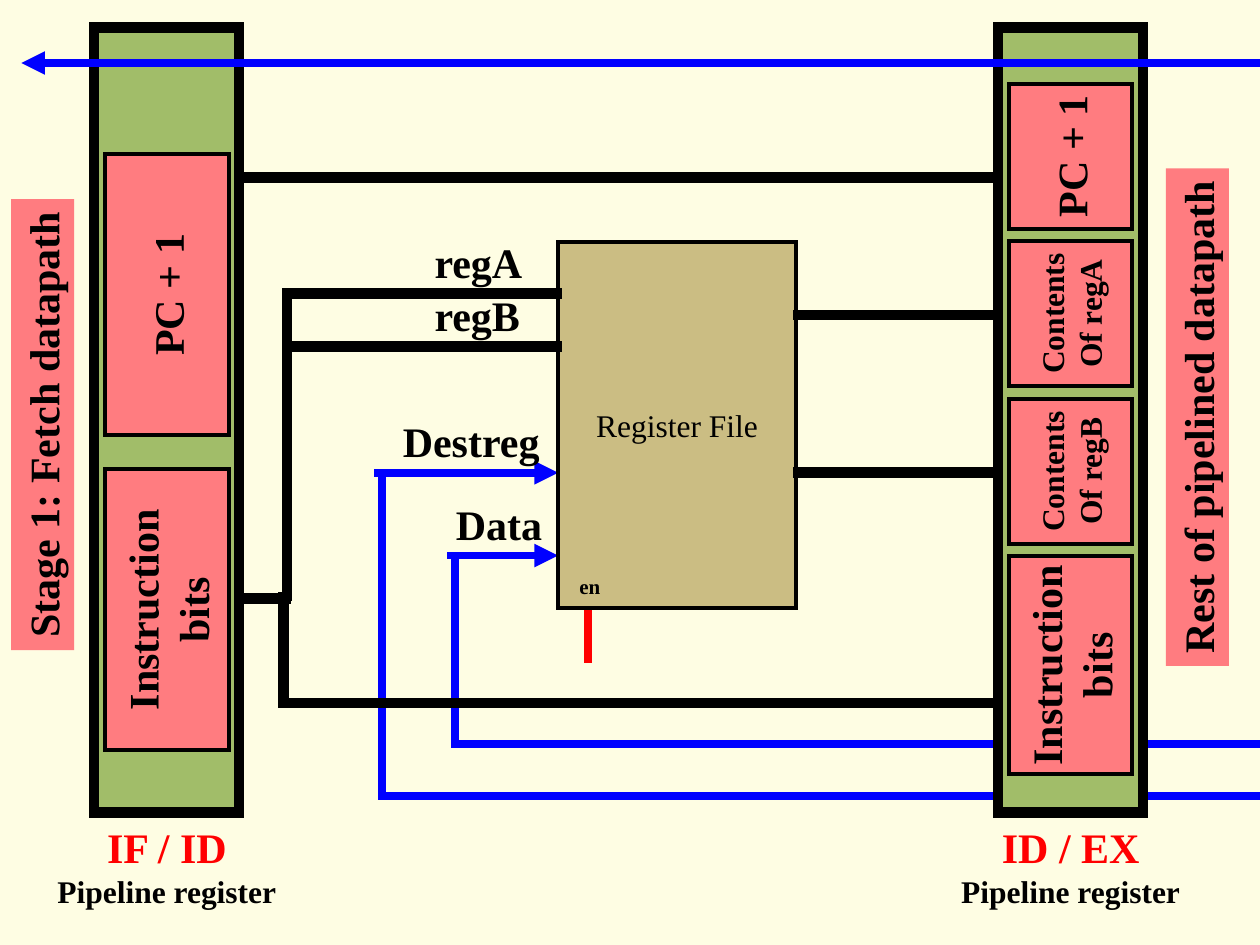
from dataclasses import dataclass

from pptx import Presentation
from pptx.dml.color import RGBColor
from pptx.enum.shapes import MSO_CONNECTOR as Connector, MSO_SHAPE as Preset
from pptx.enum.text import MSO_ANCHOR as Anchor, PP_ALIGN as Align
from pptx.oxml.ns import qn
from pptx.util import Cm, Pt
from lxml.etree import SubElement

COLORS = {
    "background": "FEFDE3", "black": "000000", "blue": "0000FF", "red": "FF0000",
    "register": "A1BD69", "field": "FF7C80", "file": "CBBD83",
}
FONT = "Times New Roman"
REGISTER_LEFT, REGISTER_STEP = 1.9, 18.22
FIELD_BREADTH, BANNER_BREADTH = 2.49, 1.27
LEFT_CENTER, RIGHT_CENTER = 3.37, 21.58
BUS_END = 20.07


@dataclass
class Line:
    text: str
    size: int = 24
    color: str = "black"
    bold: bool = True


@dataclass
class Box:
    left: float
    top: float
    width: float
    height: float
    lines: tuple = ()
    fill: str = ""
    border: float = 0
    rotation: int = 0
    centered: bool = True
    wrap: bool = False


@dataclass
class Wire:
    x1: float
    y1: float
    x2: float
    y2: float
    color: str = "black"
    weight: float = 6
    arrow: bool = False


def apply_format(target, values: dict) -> None:
    """Set each named attribute on the target."""
    for name, value in values.items():
        setattr(target, name, value)


def rgb(name: str) -> RGBColor:
    """Look up a colour by its name."""
    return RGBColor.from_string(COLORS[name])


def upright(center_x: float, center_y: float, length: float, breadth: float,
            *lines: Line, border: float = 0, centered: bool = True) -> Box:
    """Describe a box whose text reads upwards around a centre."""
    return Box(center_x - length / 2, center_y - breadth / 2, length, breadth, lines,
               "field", border, 270, centered)


def field(center_x: float, center_y: float, length: float, *texts: str, size: int = 24) -> Box:
    """Describe one field of a pipeline register."""
    lines = [Line(text, size) for text in texts]
    return upright(center_x, center_y, length, FIELD_BREADTH, *lines, border=2.25)


def banner(center_x: float, center_y: float, length: float, text: str) -> Box:
    """Describe the name of a neighbouring stage."""
    return upright(center_x, center_y, length, BANNER_BREADTH, Line(text), centered=False)


def label(left: float, top: float, width: float, text: str, size: int = 24) -> Box:
    """Describe the name of a register file port."""
    height = 1.27 if size == 24 else 0.76
    return Box(left, top, width, height, (Line(text, size),), centered=False)


def pipeline_register(index: int, name: str) -> list[Box]:
    """Describe a pipeline register and its caption."""
    shift = index * REGISTER_STEP
    caption = (Line(name, color="red"), Line("Pipeline register", 18))
    return [Box(REGISTER_LEFT + shift, 0.56, 2.92, 15.82, fill="register", border=6),
            Box(shift, 16.43, 6.73, 2.03, caption, wrap=True)]


def draw_box(slide, box: Box) -> None:
    """Draw a filled shape with sharp corners or a plain text box."""
    frame = [Cm(value) for value in (box.left, box.top, box.width, box.height)]
    if box.fill:
        shape = slide.shapes.add_shape(Preset.RECTANGLE, *frame)
        shape.shadow.inherit = False
        shape.fill.solid()
        shape.fill.fore_color.rgb = rgb(box.fill)
        if box.border:
            shape.line.color.rgb = rgb("black")
            shape.line.width = Pt(box.border)
            outline = shape.element.spPr.find(qn("a:ln"))
            SubElement(outline, qn("a:miter"), lim="800000")
        else:
            shape.line.fill.background()
    else:
        shape = slide.shapes.add_textbox(*frame)
    shape.rotation = box.rotation
    middle = box.fill and box.centered
    apply_format(shape.text_frame, {
        "word_wrap": box.wrap,
        "vertical_anchor": Anchor.MIDDLE if middle else Anchor.TOP,
    })
    for index, line in enumerate(box.lines):
        text_frame = shape.text_frame
        paragraph = text_frame.add_paragraph() if index else text_frame.paragraphs[0]
        paragraph.alignment = Align.CENTER if box.centered else Align.LEFT
        run = paragraph.add_run()
        run.text = line.text
        apply_format(run.font, {"name": FONT, "size": Pt(line.size), "bold": line.bold})
        run.font.color.rgb = rgb(line.color)


def draw_wire(slide, wire: Wire) -> None:
    """Draw a square-capped wire, with any arrowhead at its start."""
    ends = [Cm(value) for value in (wire.x1, wire.y1, wire.x2, wire.y2)]
    connector = slide.shapes.add_connector(Connector.STRAIGHT, *ends)
    connector.line.color.rgb = rgb(wire.color)
    connector.line.width = Pt(wire.weight)
    properties = connector.element.spPr
    outline = properties.find(qn("a:ln"))
    outline.set("cap", "sq")
    if wire.arrow:
        SubElement(outline, qn("a:headEnd"), type="triangle")
    SubElement(properties, qn("a:effectLst"))


def feedback(x: float, port_y: float, bus_y: float) -> list[Wire]:
    """Describe a write-back path that ends at a register file port."""
    return [Wire(x, bus_y, 25.35, bus_y, "blue", 4.5),
            Wire(11.25, port_y, x - 0.08, port_y, "blue", 4.5, True),
            Wire(x, port_y, x, bus_y, "blue", 4.5)]


def main() -> None:
    """Build the decode stage slide."""
    presentation = Presentation()
    apply_format(presentation, {"slide_width": Cm(25.4), "slide_height": Cm(19.05)})
    slide = presentation.slides.add_slide(presentation.slide_layouts[6])
    slide.background.fill.solid()
    slide.background.fill.fore_color.rgb = rgb("background")

    items = [
        *feedback(7.7, 9.53, 16.05),
        *feedback(9.17, 11.2, 14.99),
        label(7.87, 8.26, 3.4, "Destreg"),
        label(8.94, 9.93, 2.4, "Data"),
        *pipeline_register(1, "ID / EX"),
        field(RIGHT_CENTER, 6.32, 2.92, "Contents", "Of regA", size=18),
        field(RIGHT_CENTER, 9.5, 2.92, "Contents", "Of regB", size=18),
        Wire(11.86, 12.27, 11.86, 13.28, "red", 4.5),
        Box(11.25, 4.88, 4.8, 7.37, (Line("Register File", 18, bold=False),), "file", 2.25),
        *(Wire(16.1, y, BUS_END, y) for y in (6.35, 9.53)),
        *(Wire(5.79, y, 11.23, y) for y in (5.92, 6.99)),
        Wire(5.79, 5.92, 5.79, 12.01),
        Wire(5.77, 12.07, 4.88, 12.07),
        label(8.51, 4.65, 2.4, "regA"),
        label(8.51, 5.72, 2.4, "regB"),
        label(11.43, 11.43, 1.1, "en", 12),
        banner(24.14, 8.41, 10.03, "Rest of pipelined datapath"),
        *pipeline_register(0, "IF / ID"),
        field(LEFT_CENTER, 12.29, 5.66, "Instruction", "bits"),
        field(LEFT_CENTER, 5.94, 5.66, "PC + 1"),
        field(RIGHT_CENTER, 3.15, 2.92, "PC + 1"),
        Wire(4.88, 3.58, BUS_END, 3.58),
        Wire(0.43, 1.27, 25.4, 1.27, "blue", 4.5, True),
        field(RIGHT_CENTER, 13.41, 4.39, "Instruction", "bits"),
        Wire(5.72, 12.04, 5.72, 14.12),
        Wire(5.72, 14.17, BUS_END, 14.17),
        banner(0.86, 8.56, 9.09, "Stage 1: Fetch datapath"),
    ]
    for item in items:
        draw = draw_box if isinstance(item, Box) else draw_wire
        draw(slide, item)
    presentation.save("out.pptx")


if __name__ == "__main__":
    main()
